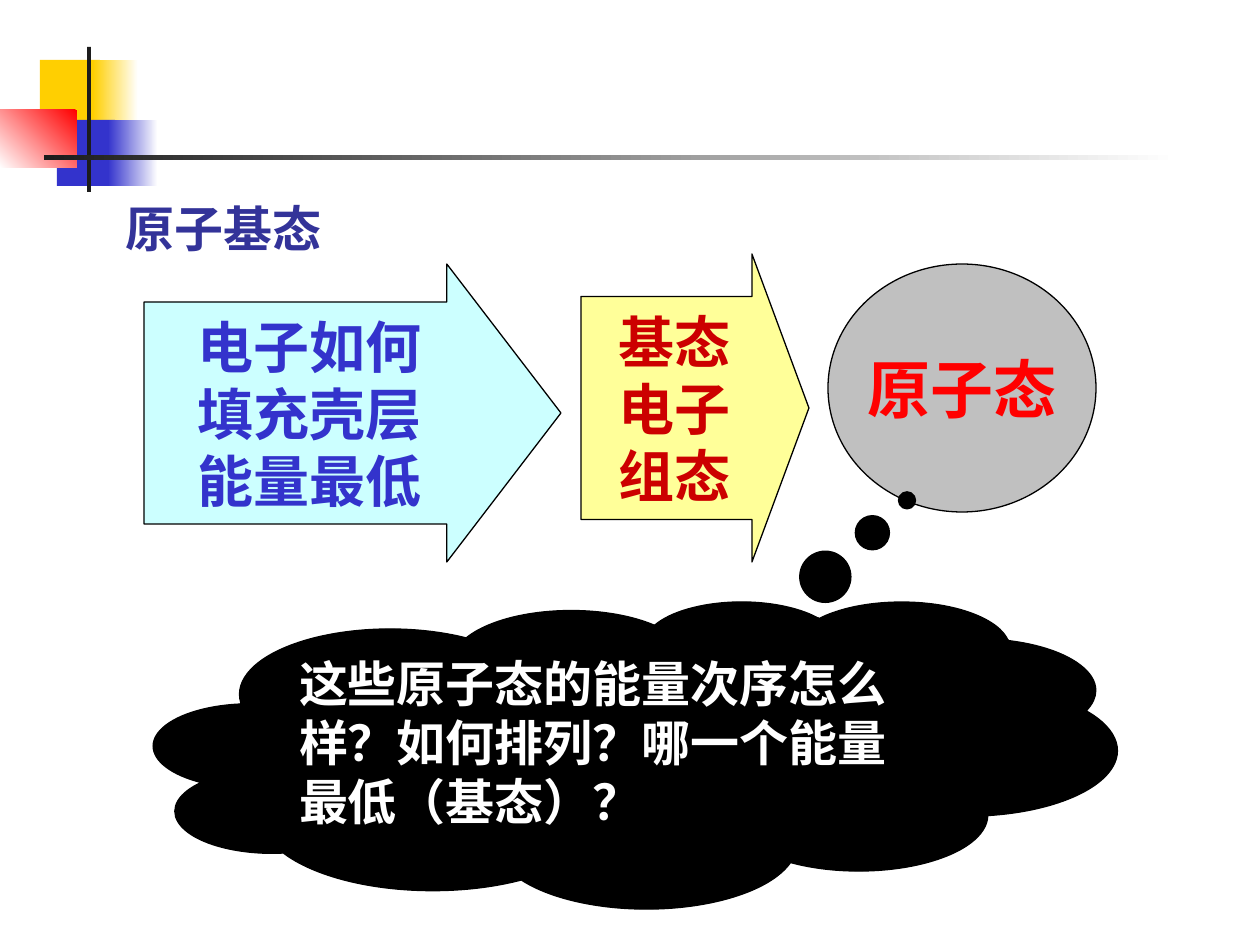
"""Build the slide on the ground state of an atom."""
import pptx
import pptx.util
import pptx.dml.color
import pptx.enum.shapes
import pptx.enum.text

KIND = pptx.enum.shapes.MSO_SHAPE
ALIGN = pptx.enum.text.PP_ALIGN
ANCHOR = pptx.enum.text.MSO_ANCHOR
FIT = pptx.enum.text.MSO_AUTO_SIZE

THEME = {
    "white": "FFFFFF", "black": "000000", "ink": "1C1C1C", "gold": "FFCF01",
    "blue": "3333CC", "red": "FF0000", "navy": "333399", "cyan": "CCFFFF",
    "cream": "FFFF99", "brick": "CC0000", "gray": "C0C0C0",
    "sans": "Karla", "serif": "Times New Roman",
    "body": 28, "step": 32, "goal": 36, "line": 0.75,
}

DECOR = [
    ((40, 60, 60, 66), ["gold"], None),
    ((93, 60, 45, 66), ["white", "gold"], 180),
    ((57, 120, 58, 66), ["blue"], None),
    ((108, 120, 50, 66), ["white", "blue"], 180),
    ((0, 110, 77, 58), ["red", "white"], 225),
    ((87, 47, 4, 145), ["ink"], None),
    ((44, 155, 1134, 5), ["white", "ink"], 180),
]

TITLE = ("原子基态", (113, 192, 358, 72))

STEPS = [
    {"kind": KIND.RIGHT_ARROW, "box": (144, 264, 417, 298), "adj": (0.745, 0.383),
     "fill": "cyan", "ink": "blue", "size": "step",
     "text": ["电子如何", "填充壳层", "能量最低"]},
    {"kind": KIND.RIGHT_ARROW, "box": (581, 254, 228, 308), "adj": (0.724, 0.25),
     "fill": "cream", "ink": "brick", "size": "step",
     "text": ["基态", "电子", "组态"]},
    {"kind": KIND.OVAL, "box": (828, 264, 268, 248), "adj": (),
     "fill": "gray", "ink": "red", "size": "goal", "text": ["原子态"]},
]

CLOUD = {
    "kind": KIND.CLOUD_CALLOUT, "box": (154, 601, 963, 307), "adj": (0.282, -0.828),
    "fill": "black", "ink": "white", "size": "body",
    "text": ["这些原子态的能量次序怎么样？如何排列？哪一个能量最低（基态）？"],
}


def px(num):
    return pptx.util.Emu(round(num * 914400 / 126))


def tint(name):
    return pptx.dml.color.RGBColor.from_string(THEME[name])


def add_form(slide, kind, box):
    form = slide.shapes.add_shape(kind, *map(px, box))
    form.shadow.inherit = False
    return form


def add_decor(slide, box, tones, angle):
    form = add_form(slide, KIND.RECTANGLE, box)
    form.line.fill.background()
    if angle is None:
        form.fill.solid()
        form.fill.fore_color.rgb = tint(tones[0])
        return
    form.fill.gradient()
    form.fill.gradient_angle = angle
    for stop, tone in zip(form.fill.gradient_stops, tones):
        stop.color.rgb = tint(tone)


def set_text(frame, lines, face, size, ink, align, anchor, wrap):
    frame.text = "\n".join(lines)
    frame.word_wrap = wrap
    frame.vertical_anchor = anchor
    for para in frame.paragraphs:
        para.alignment = align
        para.font.name = THEME[face]
        para.font.size = pptx.util.Pt(THEME[size])
        para.font.bold = True
        para.font.color.rgb = tint(ink)


def add_block(slide, item, face, align, anchor, wrap):
    form = add_form(slide, item["kind"], item["box"])
    for num, value in enumerate(item["adj"]):
        form.adjustments[num] = value
    form.fill.solid()
    form.fill.fore_color.rgb = tint(item["fill"])
    form.line.color.rgb = tint("black")
    form.line.width = pptx.util.Pt(THEME["line"])
    set_text(form.text_frame, item["text"], face, item["size"], item["ink"],
             align, anchor, wrap)


def add_title(slide, text, box):
    title = slide.shapes.title
    title.left, title.top, title.width, title.height = map(px, box)
    set_text(title.text_frame, [text], "serif", "body", "navy",
             ALIGN.LEFT, ANCHOR.TOP, True)
    title.text_frame.auto_size = FIT.SHAPE_TO_FIT_TEXT


def main():
    deck = pptx.Presentation()
    deck.slide_width, deck.slide_height = px(1260), px(945)
    slide = deck.slides.add_slide(deck.slide_layouts[5])
    add_title(slide, *TITLE)
    for part in DECOR:
        add_decor(slide, *part)
    for item in STEPS:
        add_block(slide, item, "sans", ALIGN.CENTER, ANCHOR.MIDDLE, False)
    add_block(slide, CLOUD, "serif", ALIGN.LEFT, ANCHOR.TOP, True)
    deck.save("out.pptx")


if __name__ == "__main__":
    main()
